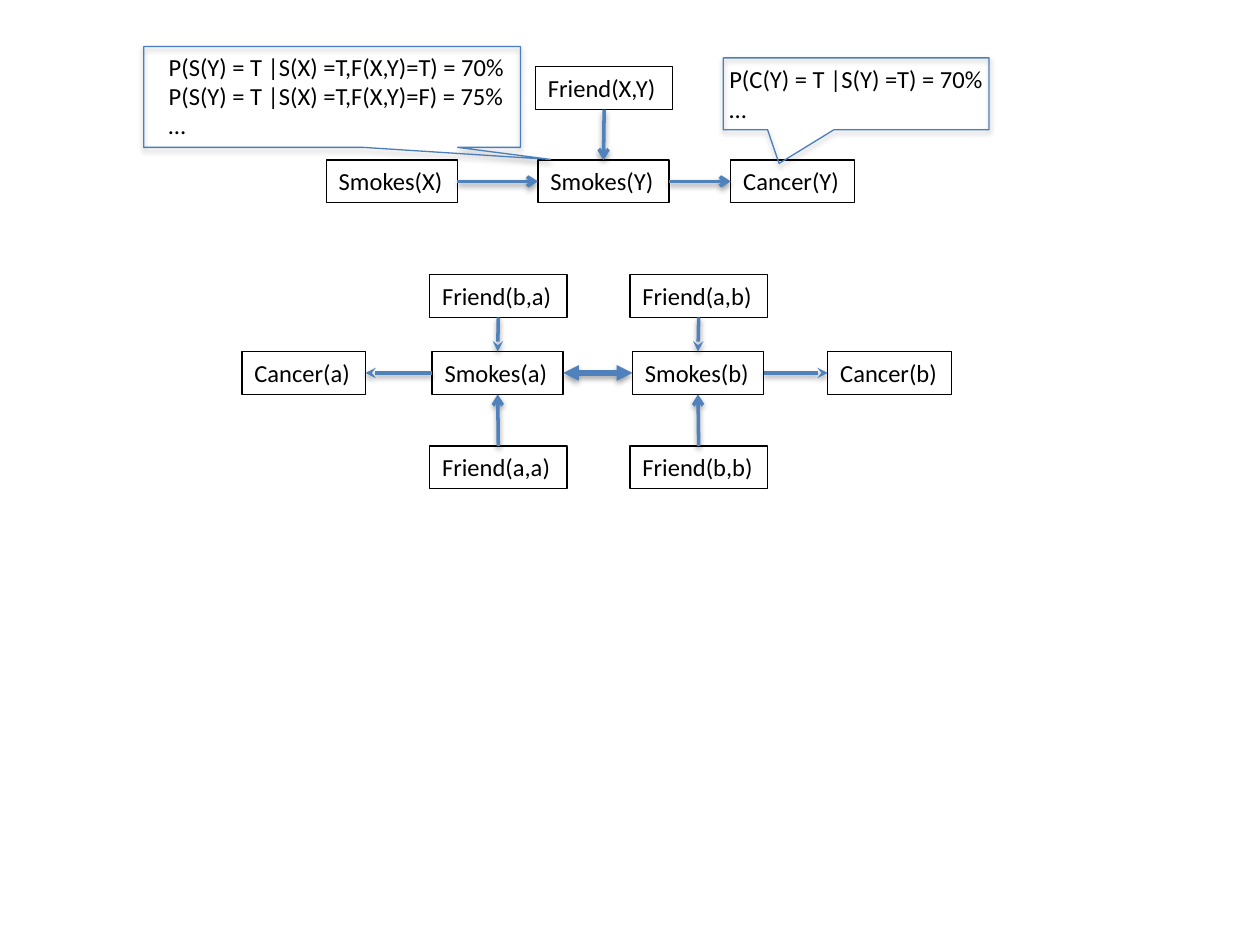
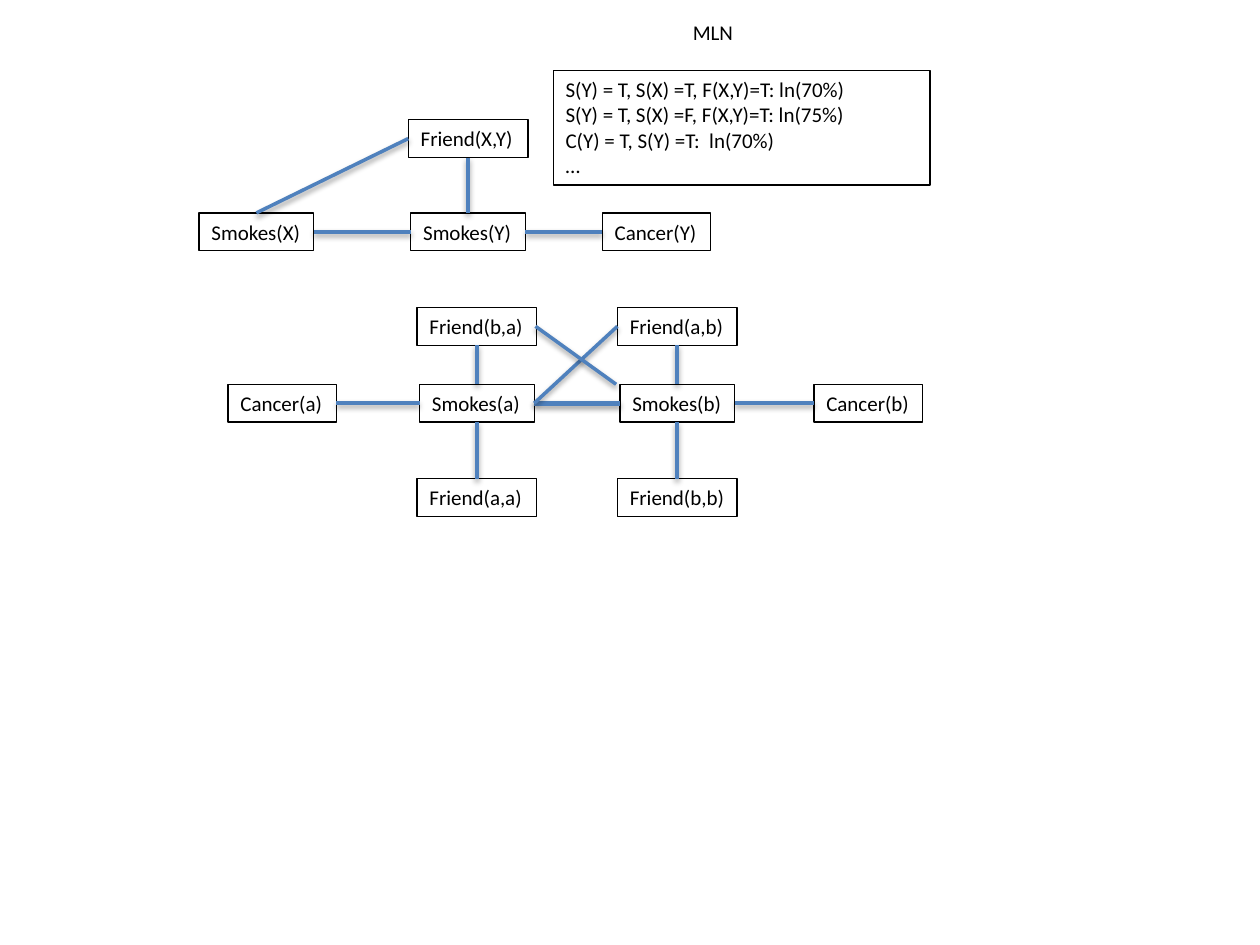
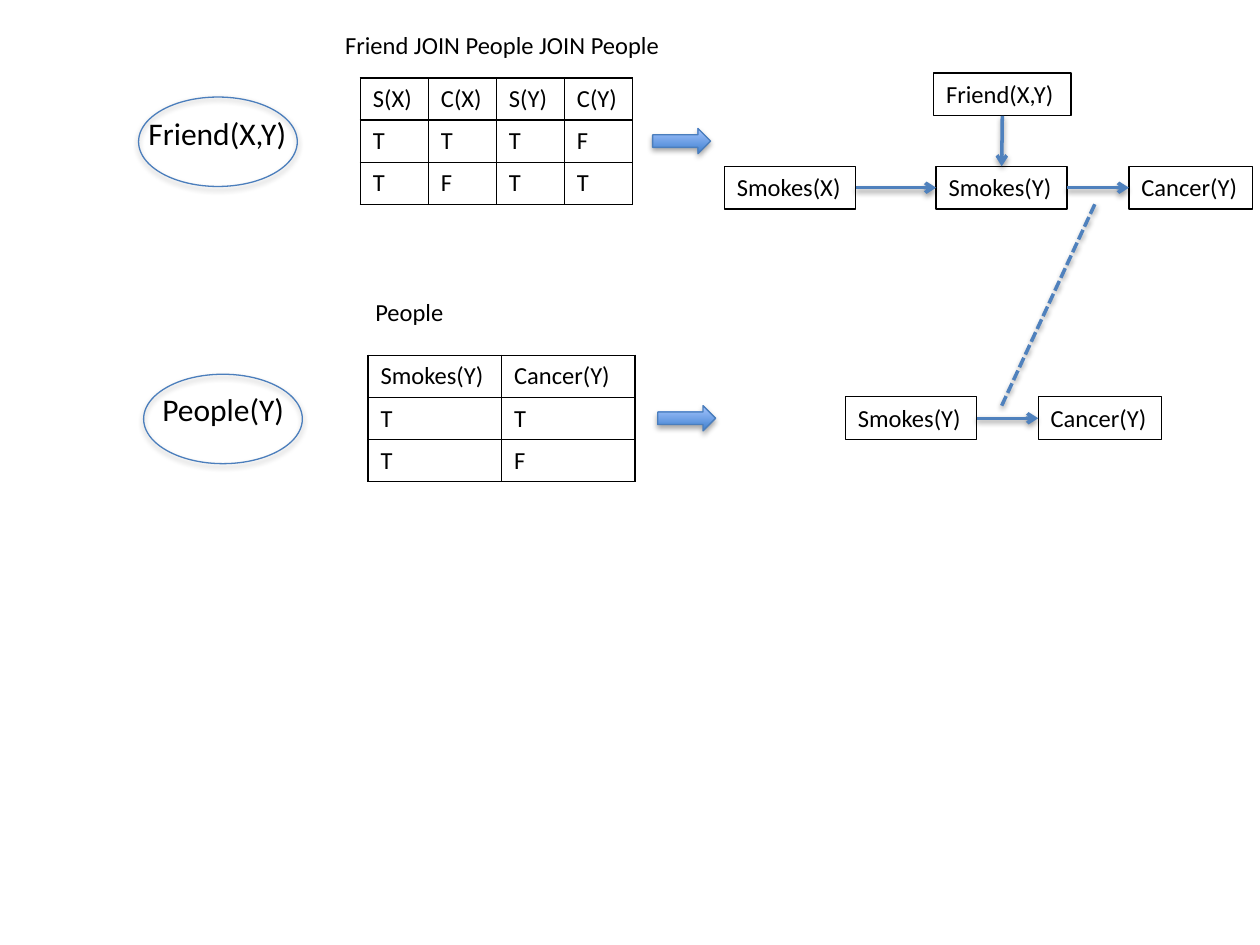
from dataclasses import dataclass
from typing import Any, NamedTuple

import pptx
import pptx.dml.color
import pptx.enum.dml
import pptx.enum.shapes
import pptx.enum.text
import pptx.oxml
import pptx.oxml.ns
import pptx.util

RGBColor = pptx.dml.color.RGBColor
MSO_SHAPE = pptx.enum.shapes.MSO_SHAPE

EMU_PER_PX = 9144
FONT = "Calibri"
BLACK = RGBColor(0x00, 0x00, 0x00)
LINK_BLUE = RGBColor(0x4F, 0x81, 0xBD)
EDGE_BLUE = RGBColor(0x4B, 0x7E, 0xBC)
ARROW_DARK = RGBColor(0x3F, 0x80, 0xCE)
ARROW_LIGHT = RGBColor(0xA4, 0xC4, 0xFF)

TOP, LEFT, BOTTOM, RIGHT = range(4)
NODE_HEIGHT = {14: 34, 12: 30}
NODE_WIDTH = {
    14: {"Cancer": 98, "Smokes": 104, "Friend": 109},
    12: {"Cancer": 86, "Smokes": 91, "Friend": 95},
}


class Node(NamedTuple):
    text: str
    dx: int
    dy: int


class Link(NamedTuple):
    start: str
    start_side: int
    end: str
    end_side: int
    tail: str = "arrow"
    head: str = ""
    width: int = 2


class Callout(NamedTuple):
    text_box: tuple[int, int, int, int]
    frame: tuple[int, int, int, int]
    tip: tuple[float, float]
    lines: list[str]


@dataclass
class Source:
    name: str
    name_box: tuple[int, int, int, int]
    ellipse: tuple[int, int]
    title: str
    title_box: tuple[int, int, int, int]
    table: tuple[int, int]
    col_width: int
    rows: list[str]
    arrow: tuple[int, int]


TEMPLATE_NODES = [
    Node("Cancer(Y)", 150, 0),
    Node("Smokes(X)", -168, 0),
    Node("Friend(X,Y)", 0, -74),
    Node("Smokes(Y)", 0, 0),
]
TEMPLATE_LINKS = [
    Link("Friend(X,Y)", BOTTOM, "Smokes(Y)", TOP),
    Link("Smokes(Y)", RIGHT, "Cancer(Y)", LEFT),
    Link("Smokes(X)", RIGHT, "Smokes(Y)", LEFT),
]
PEOPLE_NODES = [TEMPLATE_NODES[0], TEMPLATE_NODES[3]]
PEOPLE_LINKS = [TEMPLATE_LINKS[1]]

GROUND_NODES = [
    Node("Cancer(a)", -154, 0),
    Node("Smokes(a)", 0, 0),
    Node("Friend(a,b)", 159, -61),
    Node("Smokes(b)", 159, 0),
    Node("Cancer(b)", 311, 0),
    Node("Friend(b,a)", 0, -61),
    Node("Friend(b,b)", 159, 75),
    Node("Friend(a,a)", 0, 75),
]
GROUND_LINKS = [
    Link("Smokes(a)", RIGHT, "Smokes(b)", LEFT, "triangle", "triangle", 3),
    Link("Friend(b,a)", BOTTOM, "Smokes(a)", TOP, "stealth"),
    Link("Friend(a,b)", BOTTOM, "Smokes(b)", TOP, "stealth"),
    Link("Smokes(b)", RIGHT, "Cancer(b)", LEFT, "stealth"),
    Link("Smokes(a)", LEFT, "Cancer(a)", RIGHT, "stealth"),
    Link("Friend(a,a)", TOP, "Smokes(a)", BOTTOM),
    Link("Friend(b,b)", TOP, "Smokes(b)", BOTTOM),
]

CALLOUTS = [
    Callout((569, 46, 226, 57), (574, 46, 211, 57), (-0.29, 0.97),
            ["P(C(Y) = T |S(Y) =T) = 70%", "…"]),
    Callout((124, 36, 299, 81), (114, 37, 299, 80), (0.58, 0.62),
            ["P(S(Y) = T |S(X) =T,F(X,Y)=T) = 70%",
             "P(S(Y) = T |S(X) =T,F(X,Y)=F) = 75%", "…"]),
]
MLN_WEIGHTS = [
    "S(Y) = T, S(X) =T, F(X,Y)=T: ln(70%)",
    "S(Y) = T, S(X) =F, F(X,Y)=T: ln(75%)",
    "C(Y) = T, S(Y) =T:  ln(70%)",
    "…",
]
SOURCES = [
    Source("People(Y)", (119, 305, 126, 40), (114, 297),
           "People", (288, 231, 85, 34), (292, 282), 106,
           ["Smokes(Y) Cancer(Y)", "T T", "T F"], (522, 322)),
    Source("Friend(X,Y)", (108, 86, 137, 40), (110, 77),
           "Friend JOIN People JOIN People", (264, 19, 329, 34), (286, 62), 54,
           ["S(X) C(X) S(Y) C(Y)", "T T T F", "T F T T"], (518, 102)),
]


def px(*values: int) -> list[int]:
    return [v * EMU_PER_PX for v in values]


def set_format(obj: Any, values: dict[str, Any]) -> None:
    for name, value in values.items():
        setattr(obj, name, value)


def set_font(font: Any, size: int) -> None:
    set_format(font, {"name": FONT, "size": pptx.util.Pt(size), "bold": False})
    font.color.rgb = BLACK


def set_line(line: Any, color: RGBColor, width: float) -> None:
    line.color.rgb = color
    line.width = pptx.util.Pt(width)


def add_shadow(shape: Any, opacity: int) -> None:
    ns = pptx.oxml.ns.nsdecls("a")
    shape._element.spPr.append(pptx.oxml.parse_xml(
        f'<a:effectLst {ns}><a:outerShdw blurRad="40000" dist="22000" dir="5400000" '
        f'rotWithShape="0"><a:srgbClr val="{BLACK}"><a:alpha val="{opacity}000"/>'
        f'</a:srgbClr></a:outerShdw></a:effectLst>'))


def add_text(s: Any, box: tuple[int, int, int, int], lines: list[str], size: int,
             framed: bool = False, wrap: bool = True) -> Any:
    sp = s.shapes.add_textbox(*px(*box))
    tf = sp.text_frame
    set_format(tf, {"word_wrap": wrap,
                    "auto_size": pptx.enum.text.MSO_AUTO_SIZE.SHAPE_TO_FIT_TEXT})
    for i, line in enumerate(lines):
        p = tf.paragraphs[0] if i == 0 else tf.add_paragraph()
        r = p.add_run()
        r.text = line
        set_font(r.font, size)
    if framed:
        set_line(sp.line, BLACK, 0.75)
    return sp


def add_preset(s: Any, kind: Any, box: tuple[int, int, int, int]) -> Any:
    sp = s.shapes.add_shape(kind, *px(*box))
    sp.fill.background()
    set_line(sp.line, EDGE_BLUE, 0.75)
    add_shadow(sp, 35)
    return sp


def add_line(s: Any, ends: tuple[int, int, int, int], width: int = 2,
             head: str = "", tail: str = "") -> Any:
    cx = s.shapes.add_connector(pptx.enum.shapes.MSO_CONNECTOR.STRAIGHT, *px(*ends))
    set_line(cx.line, LINK_BLUE, width)
    ln = cx.line._get_or_add_ln()
    for tag, kind in (("headEnd", head), ("tailEnd", tail)):
        if kind:
            ns = pptx.oxml.ns.nsdecls("a")
            ln.append(pptx.oxml.parse_xml(f'<a:{tag} {ns} type="{kind}"/>'))
    add_shadow(cx, 38)
    return cx


def add_network(s: Any, nodes: list[Node], links: list[Link], center: int, top: int,
                size: int, directed: bool = True) -> None:
    shapes = {}
    for node in nodes:
        w = NODE_WIDTH[size][node.text.split("(")[0]]
        box = (center + node.dx - w // 2, top + node.dy, w, NODE_HEIGHT[size])
        shapes[node.text] = add_text(s, box, [node.text], size, framed=True, wrap=False)
    for link in links:
        ends = (link.head, link.tail) if directed else ("", "")
        cx = add_line(s, (0, 0, 0, 0), link.width, *ends)
        cx.begin_connect(shapes[link.start], link.start_side)
        cx.end_connect(shapes[link.end], link.end_side)


def add_grid(s: Any, pos: tuple[int, int], col_width: int, rows: list[str]) -> None:
    cells = [row.split() for row in rows]
    n_rows, n_cols = len(cells), len(cells[0])
    gf = s.shapes.add_table(n_rows, n_cols, *px(*pos, col_width * n_cols, 33 * n_rows))
    tbl = gf.table
    set_format(tbl, {"first_row": False, "horz_banding": False})
    for i, row in enumerate(cells):
        for j, value in enumerate(row):
            cell = tbl.cell(i, j)
            cell.text = value
            set_font(cell.text_frame.paragraphs[0].runs[0].font, 14)
            tcPr = cell._tc.get_or_add_tcPr()
            for side in "LRTB":
                ns = pptx.oxml.ns.nsdecls("a")
                tcPr.append(pptx.oxml.parse_xml(
                    f'<a:ln{side} {ns} w="12700"><a:solidFill><a:srgbClr val="{BLACK}"/>'
                    f'</a:solidFill></a:ln{side}>'))
            cell.fill.background()


def add_block_arrow(s: Any, pos: tuple[int, int]) -> None:
    sp = add_preset(s, MSO_SHAPE.RIGHT_ARROW, (*pos, 46, 20))
    sp.fill.gradient()
    sp.fill.gradient_angle = 90
    for stop, color in zip(sp.fill.gradient_stops, (ARROW_DARK, ARROW_LIGHT)):
        stop.color.rgb = color


def build_bayes_net(s: Any) -> None:
    add_network(s, TEMPLATE_NODES, TEMPLATE_LINKS, 479, 127, 14)
    for callout in CALLOUTS:
        add_text(s, callout.text_box, callout.lines, 14)
        sp = add_preset(s, MSO_SHAPE.RECTANGULAR_CALLOUT, callout.frame)
        for i, value in enumerate(callout.tip):
            sp.adjustments[i] = value
    add_network(s, GROUND_NODES, GROUND_LINKS, 395, 279, 14)


def build_markov_net(s: Any) -> None:
    template_links = TEMPLATE_LINKS + [Link("Friend(X,Y)", LEFT, "Smokes(X)", TOP)]
    ground_links = GROUND_LINKS + [Link("Friend(a,b)", LEFT, "Smokes(a)", RIGHT)]
    add_network(s, TEMPLATE_NODES, template_links, 371, 169, 12, directed=False)
    add_network(s, GROUND_NODES, ground_links, 378, 305, 12, directed=False)
    add_line(s, (425, 259, 489, 305))
    add_text(s, (439, 56, 299, 91), MLN_WEIGHTS, 12, framed=True)
    add_text(s, (540, 11, 97, 30), ["MLN"], 12)


def build_join_tables(s: Any) -> None:
    for source in SOURCES:
        add_text(s, source.name_box, [source.name], 18)
        add_preset(s, MSO_SHAPE.OVAL, (*source.ellipse, 126, 71))
        add_text(s, source.title_box, [source.title], 14)
        add_grid(s, source.table, source.col_width, source.rows)
        add_block_arrow(s, source.arrow)
    add_network(s, PEOPLE_NODES, PEOPLE_LINKS, 723, 315, 14)
    add_network(s, TEMPLATE_NODES, TEMPLATE_LINKS, 795, 132, 14)
    cx = add_line(s, (795, 322, 869, 162))
    cx.line.dash_style = pptx.enum.dml.MSO_LINE.SQUARE_DOT


def main() -> None:
    prs = pptx.Presentation()
    prs.slide_width, prs.slide_height = px(1000, 750)
    for build in (build_bayes_net, build_markov_net, build_join_tables):
        build(prs.slides.add_slide(prs.slide_layouts[6]))
    prs.save("out.pptx")


if __name__ == "__main__":
    main()
